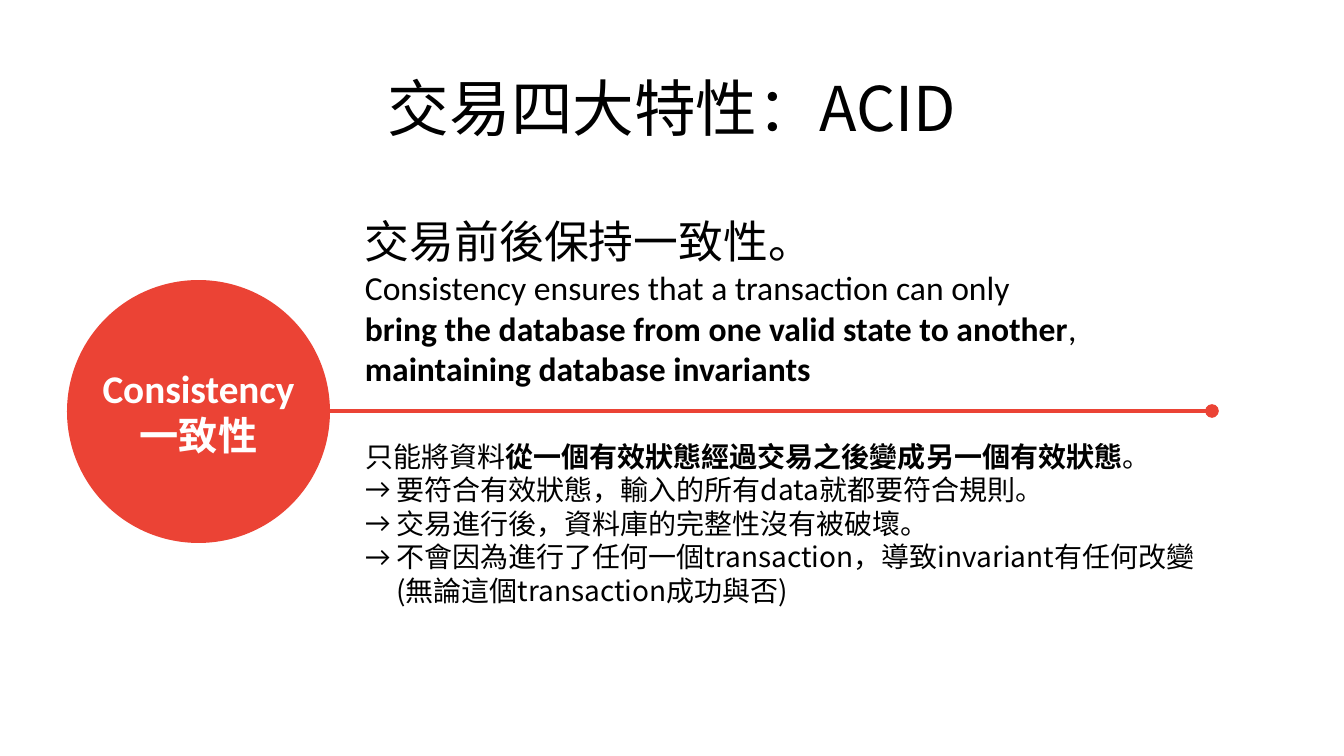
from lxml.etree import SubElement
from pptx import Presentation
from pptx.dml.color import RGBColor
from pptx.enum.shapes import MSO_CONNECTOR as Connector, MSO_SHAPE as Shape
from pptx.enum.text import MSO_ANCHOR as Anchor, MSO_AUTO_SIZE as AutoSize, PP_ALIGN as Align
from pptx.oxml.ns import qn
from pptx.util import Emu, Pt

PIXEL = 914400 / 100.8
RED = RGBColor(0xEB, 0x43, 0x35)
BLACK = RGBColor(0, 0, 0)
WHITE = RGBColor(255, 255, 255)
LATIN = "Calibri"
CJK = "Noto Sans CJK JP"

TITLE = "交易四大特性：ACID"
DEFINITION = [
    [("Consistency ensures that a transaction can only", False)],
    [("bring the database from one valid state to another", True), (", ", False)],
    [("maintaining database invariants", True)],
]
SUMMARY = [
    ("只能將資料", False),
    ("從一個有效狀態經過交易之後變成另一個有效狀態", True),
    ("。", False),
]
RULES = [
    "要符合有效狀態，輸入的所有data就都要符合規則。",
    "交易進行後，資料庫的完整性沒有被破壞。",
    "不會因為進行了任何一個transaction，導致invariant有任何改變 (無論這個transaction成功與否)",
]


def px(length):
    return Emu(round(length * PIXEL))


def place(shape, left, top, width, height):
    shape.left, shape.top, shape.width, shape.height = map(px, (left, top, width, height))


def prepare_frame(frame, anchor, wrap=True):
    frame.auto_size = AutoSize.NONE
    frame.word_wrap = wrap
    frame.vertical_anchor = anchor


def add_text_area(slide, box, anchor=Anchor.TOP, wrap=True):
    area = slide.shapes.add_textbox(*map(px, box))
    prepare_frame(area.text_frame, anchor, wrap)
    return area.text_frame


def write(paragraph, pieces, size, font, color=BLACK, align=Align.LEFT, pitch=None):
    paragraph.alignment = align
    paragraph.space_before = Pt(0)
    if pitch:
        paragraph.line_spacing = Pt(pitch)
    for words, bold in pieces:
        run = paragraph.add_run()
        run.text = words
        run.font.size = Pt(size)
        run.font.name = font
        run.font.bold = bold
        run.font.color.rgb = color
        run.font._element.find(qn("a:latin")).addnext(
            run.font._element.makeelement(qn("a:ea"), {"typeface": font}))


def set_bullet(paragraph, mark=None, indent=0):
    properties = paragraph._p.get_or_add_pPr()
    properties.set("marL", str(px(indent)))
    properties.set("indent", str(-px(indent)))
    if mark:
        SubElement(properties, qn("a:buFont"), typeface=LATIN)
        SubElement(properties, qn("a:buChar"), char=mark)
    else:
        SubElement(properties, qn("a:buNone"))


def add_title(slide):
    title = slide.shapes.title
    place(title, 67, 44, 1210, 126)
    prepare_frame(title.text_frame, Anchor.MIDDLE)
    write(title.text_frame.paragraphs[0], [(TITLE, False)], 44, CJK, align=Align.CENTER)


def add_definition(slide):
    frame = add_text_area(slide, (355, 209, 1088, 186))
    write(frame.paragraphs[0], [("交易前後保持一致性。", False)], 32, CJK, pitch=38)
    for pieces in DEFINITION:
        write(frame.add_paragraph(), pieces, 24, LATIN)


def add_rules(slide):
    body = slide.placeholders[1]
    place(body, 355, 434, 889, 179)
    frame = body.text_frame
    prepare_frame(frame, Anchor.TOP)
    write(frame.paragraphs[0], SUMMARY, 20, CJK, pitch=24)
    set_bullet(frame.paragraphs[0])
    for rule in RULES:
        paragraph = frame.add_paragraph()
        write(paragraph, [(rule, False)], 20, CJK, pitch=24)
        set_bullet(paragraph, "→", 31)


def add_divider(slide):
    divider = slide.shapes.add_connector(
        Connector.STRAIGHT, px(306), px(411), px(1212), px(411))
    divider.line.color.rgb = RED
    divider.line.width = Pt(3.25)
    outline = divider.line._get_or_add_ln()
    for end in ("a:headEnd", "a:tailEnd"):
        SubElement(outline, qn(end), type="oval")
    SubElement(divider._element.spPr, qn("a:effectLst"))


def add_badge(slide):
    badge = slide.shapes.add_shape(Shape.OVAL, px(67), px(280), px(263), px(263))
    badge.shadow.inherit = False
    badge.fill.solid()
    badge.fill.fore_color.rgb = RED
    badge.line.fill.background()
    label = add_text_area(slide, (91, 359, 215, 105), Anchor.MIDDLE, wrap=False)
    write(label.paragraphs[0], [("Consistency", True)], 28, LATIN, WHITE, Align.CENTER)
    write(label.add_paragraph(), [("一致性", True)], 28, CJK, WHITE, Align.CENTER, 34)


def main():
    deck = Presentation()
    deck.slide_width, deck.slide_height = px(1344), px(756)
    slide = deck.slides.add_slide(deck.slide_layouts[1])
    add_title(slide)
    add_definition(slide)
    add_rules(slide)
    add_divider(slide)
    add_badge(slide)
    deck.save("out.pptx")


main()
